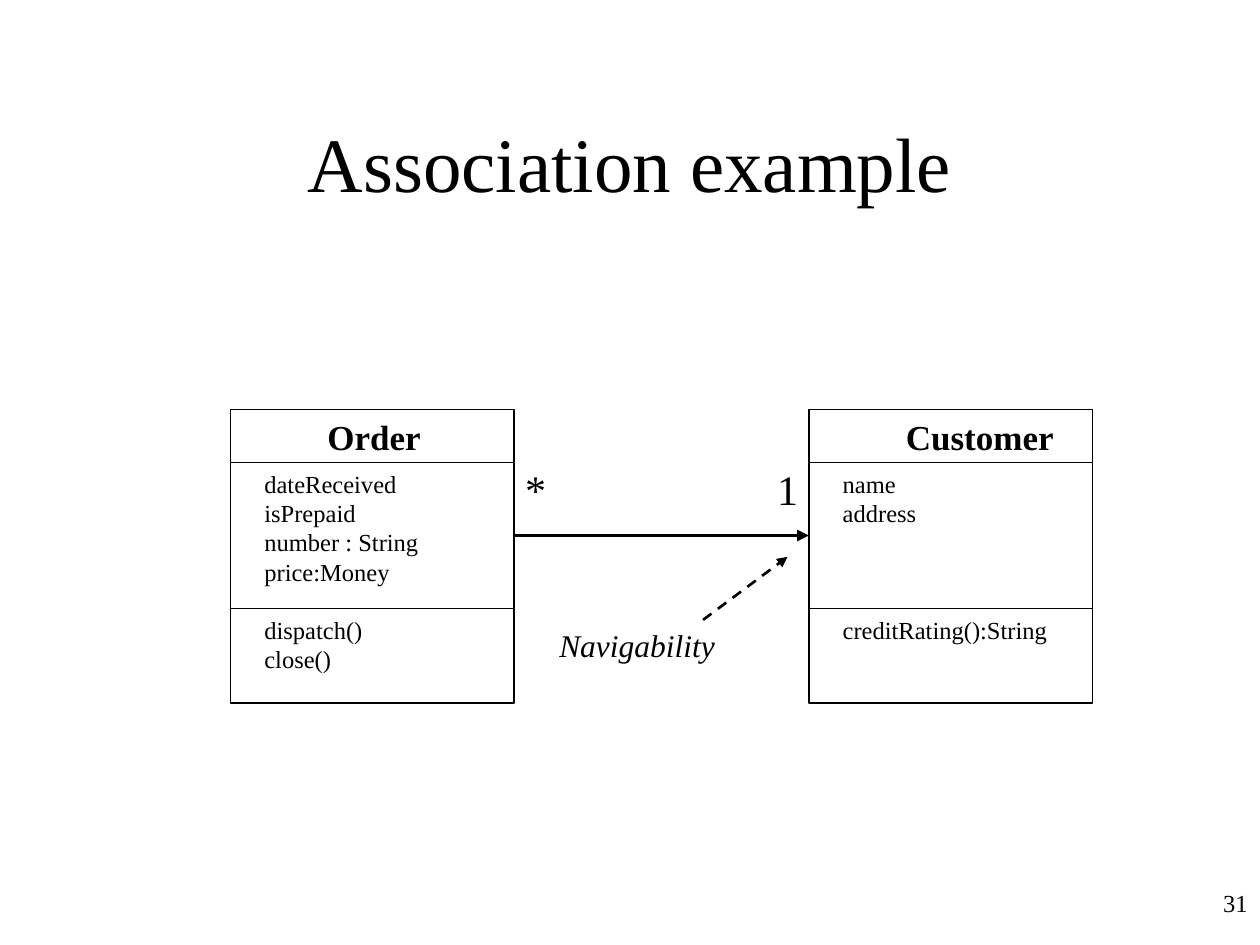
from pptx import Presentation
from pptx.dml.color import RGBColor
from pptx.enum.dml import MSO_LINE_DASH_STYLE as Dash
from pptx.enum.shapes import MSO_CONNECTOR as Connector, MSO_SHAPE as Shape
from pptx.enum.text import MSO_ANCHOR as Anchor, MSO_AUTO_SIZE as AutoSize, PP_ALIGN as Align
from pptx.oxml.ns import qn
from pptx.util import Inches, Pt
from lxml.etree import SubElement

FONT = "Times New Roman"
BLACK = RGBColor.from_string("000000")
WHITE = RGBColor.from_string("FFFFFF")


def add_text(parent, text, left, top, width, height, size=14, bold=False,
             italic=False, align=Align.LEFT, anchor=Anchor.TOP, wrap=False):
    box = parent.shapes.add_textbox(Inches(left), Inches(top), Inches(width), Inches(height))
    frame = box.text_frame
    frame.word_wrap = wrap
    frame.auto_size = AutoSize.NONE if wrap else AutoSize.SHAPE_TO_FIT_TEXT
    frame.vertical_anchor = anchor
    frame.text = text
    for para in frame.paragraphs:
        para.alignment = align
        for span in para.runs:
            span.font.name = FONT
            span.font.size = Pt(size)
            span.font.bold = bold
            span.font.italic = italic
            span.font.color.rgb = BLACK


def add_line(parent, start, end, weight=0.75, dash=None, arrow=False):
    line = parent.shapes.add_connector(
        Connector.STRAIGHT, *[Inches(value) for value in (*start, *end)])
    line.line.color.rgb = BLACK
    line.line.width = Pt(weight)
    if dash:
        line.line.dash_style = dash
    properties = line._element.spPr
    if arrow:
        SubElement(properties.find(qn("a:ln")), qn("a:tailEnd"), type="triangle")
    SubElement(properties, qn("a:effectLst"))


deck = Presentation()
deck.slide_width = Inches(10)
deck.slide_height = Inches(7.5)
page = deck.slides.add_slide(deck.slide_layouts[6])

add_text(page, "31", 7.92, 7, 2.08, 0.5, align=Align.RIGHT, wrap=True)
add_text(page, "Association example", 0.75, 0.66, 8.5, 1.25, size=44,
         align=Align.CENTER, anchor=Anchor.MIDDLE, wrap=True)

class_top, class_width, class_height = 3.25, 2.25, 2.33
attributes_top, operations_top = 3.67, 4.83
order_left, customer_left = 1.83, 6.42

classes = [
    (order_left, ("Order", 1),
     ("dateReceived\nisPrepaid\nnumber : String\nprice:Money", 1.47, 1.04),
     ("dispatch()\nclose()", 1.03, 0.57)),
    (customer_left, ("Customer", 1.42),
     ("name\naddress", 0.83, 0.57),
     ("creditRating():String", 1.87, 0.34)),
]
for left, (name, name_width), attributes, operations in classes:
    group = page.shapes.add_group_shape()
    outline = group.shapes.add_shape(
        Shape.RECTANGLE, Inches(left), Inches(class_top), Inches(class_width), Inches(class_height))
    outline.shadow.inherit = False
    outline.fill.solid()
    outline.fill.fore_color.rgb = WHITE
    outline.line.color.rgb = BLACK
    outline.line.width = Pt(0.75)
    add_text(group, name, left + 0.67, class_top, name_width, 0.44, size=20, bold=True)
    for top, (members, width, height) in ((attributes_top, attributes), (operations_top, operations)):
        add_line(group, (left, top), (left + class_width, top))
        add_text(group, members, left + 0.17, top, width, height)

add_line(page, (order_left + class_width, 4.25), (customer_left, 4.25), weight=2.25, arrow=True)
for multiplicity, left in (("*", 4.07), ("1", 6.07)):
    add_text(page, multiplicity, left, 3.63, 0.38, 0.5, size=24)
add_text(page, "Navigability", 4.34, 4.92, 1.48, 0.4, size=18, italic=True)
add_line(page, (5.58, 4.92), (6.25, 4.42), weight=1.5, dash=Dash.DASH, arrow=True)

deck.save("out.pptx")
